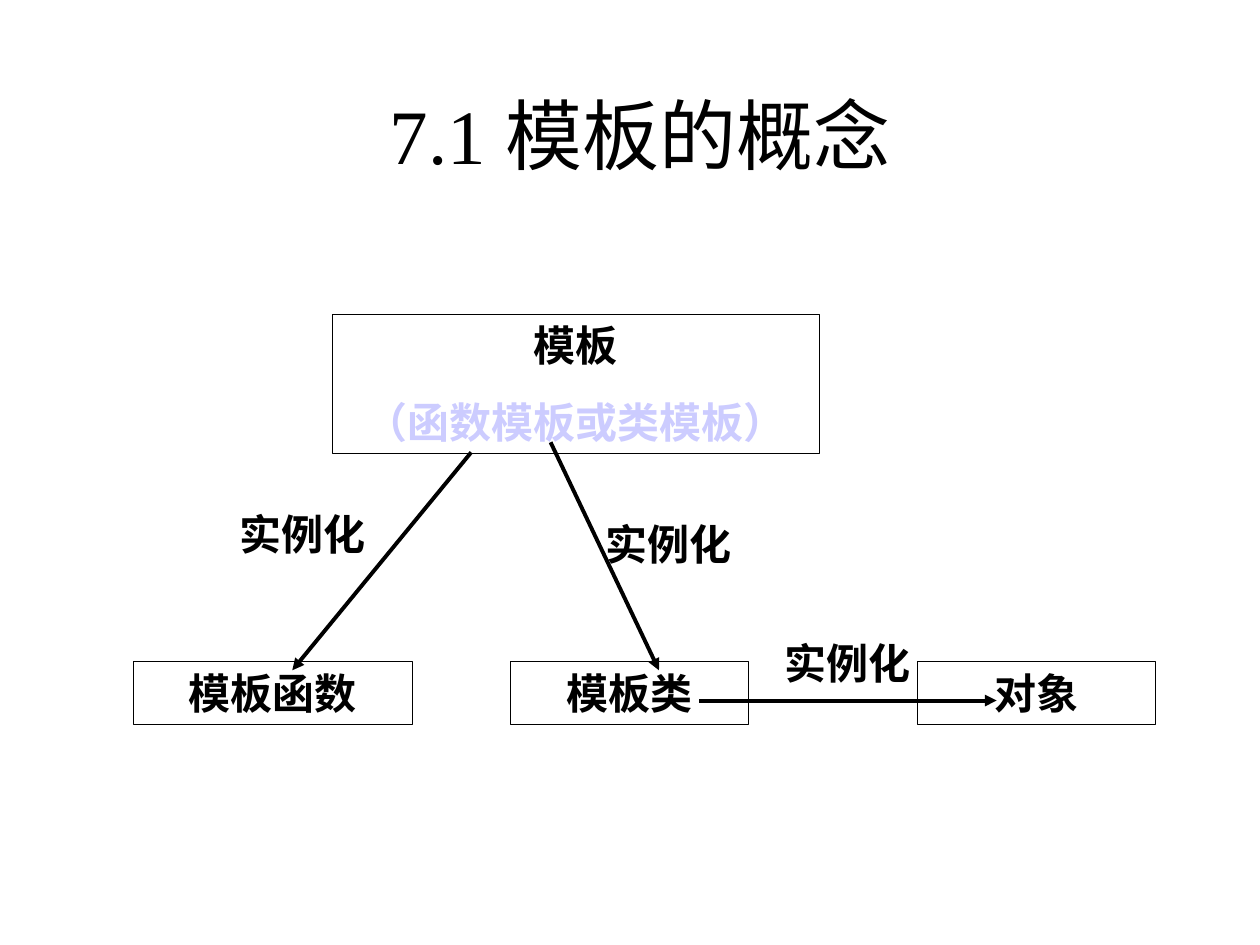
from pptx import Presentation
from pptx.dml.color import RGBColor
from pptx.enum.shapes import MSO_CONNECTOR, MSO_SHAPE
from pptx.enum.text import MSO_ANCHOR, MSO_AUTO_SIZE, PP_ALIGN
from pptx.oxml.ns import qn
from pptx.util import Inches, Pt
from lxml import etree

COLORS = {"ink": "000000", "accent": "CCCCFF"}
FONT = "Times New Roman"


def color(name):
    return RGBColor.from_string(COLORS[name])


def write(shape, lines, size=24, bold=True, space_before=15):
    """Fill a shape with centred lines, each a (text, colour name) pair."""
    text_frame = shape.text_frame
    text_frame.word_wrap = True
    text_frame.text = "\n".join(text for text, _ in lines)
    for paragraph, (_, color_name) in zip(text_frame.paragraphs, lines):
        paragraph.alignment = PP_ALIGN.CENTER
        paragraph.space_before = Pt(space_before)
        font = paragraph.runs[0].font
        font.name = FONT
        font.size = Pt(size)
        font.bold = bold
        font.color.rgb = color(color_name)


presentation = Presentation()
presentation.slide_width = Inches(10)
presentation.slide_height = Inches(7.5)
slide = presentation.slides.add_slide(presentation.slide_layouts[5])

# Title
title = slide.shapes.title
title.left, title.top = Inches(0.83), Inches(0.44)
title.width, title.height = Inches(8.5), Inches(1.25)
write(title, [("7.1 模板的概念", "ink")], size=44, bold=False, space_before=0)
title.text_frame.vertical_anchor = MSO_ANCHOR.MIDDLE

# Boxes: the template above, its instances in one row below
row_top, row_height = 5.25, 0.5
boxes = [
    (2.64, 2.49, 3.86, 1.11, [("模板", "ink"), ("（函数模板或类模板）", "accent")]),
    (1.06, row_top, 2.21, row_height, [("模板函数", "ink")]),
    (4.05, row_top, 1.89, row_height, [("模板类", "ink")]),
    (7.28, row_top, 1.89, row_height, [("对象", "ink")]),
]
for left, top, width, height, lines in boxes:
    box = slide.shapes.add_shape(
        MSO_SHAPE.RECTANGLE, Inches(left), Inches(top), Inches(width), Inches(height)
    )
    box.shadow.inherit = False
    box.fill.background()
    box.line.color.rgb = color("ink")
    box.line.width = Pt(0.25)
    write(box, lines)
    box.text_frame.vertical_anchor = MSO_ANCHOR.TOP
    box.text_frame.auto_size = MSO_AUTO_SIZE.SHAPE_TO_FIT_TEXT

# Labels beside the arrows
for left, top in [(1.3, 3.99), (4.21, 4.07), (5.63, 5.01)]:
    label = slide.shapes.add_textbox(
        Inches(left), Inches(top), Inches(2.2), Inches(0.5)
    )
    write(label, [("实例化", "ink")])
    label.text_frame.auto_size = MSO_AUTO_SIZE.SHAPE_TO_FIT_TEXT

# Arrows from the template to its instances
arrows = [
    (3.74, 3.59, 2.32, 5.32),
    (4.37, 3.51, 5.23, 5.32),
    (5.55, 5.56, 7.91, 5.56),
]
for ends in arrows:
    arrow = slide.shapes.add_connector(
        MSO_CONNECTOR.STRAIGHT, *[Inches(value) for value in ends]
    )
    arrow.line.color.rgb = color("ink")
    arrow.line.width = Pt(2.25)
    line = arrow.line._get_or_add_ln()
    etree.SubElement(line, qn("a:tailEnd"), type="triangle")
    etree.SubElement(arrow._element.spPr, qn("a:effectLst"))

presentation.save("out.pptx")
